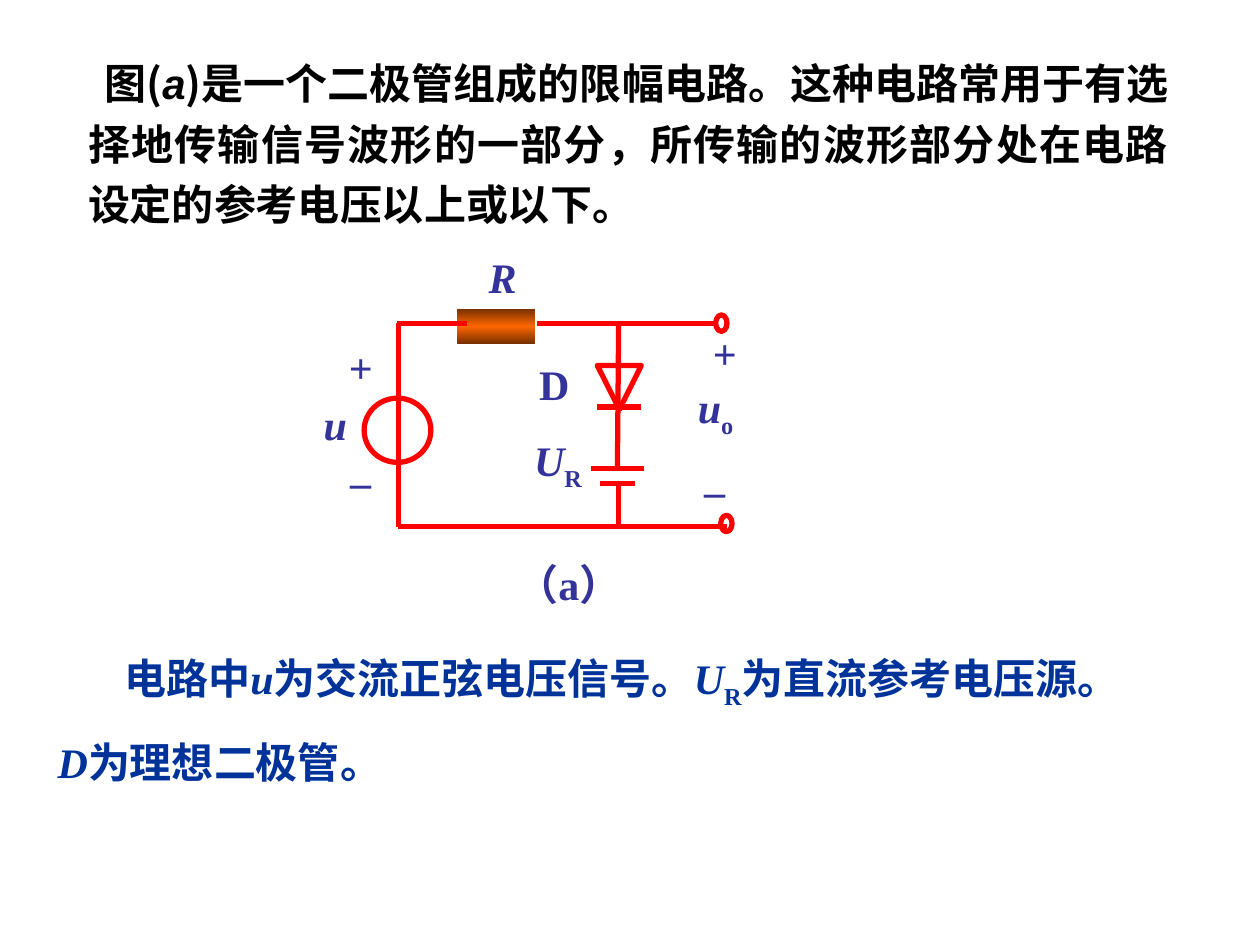
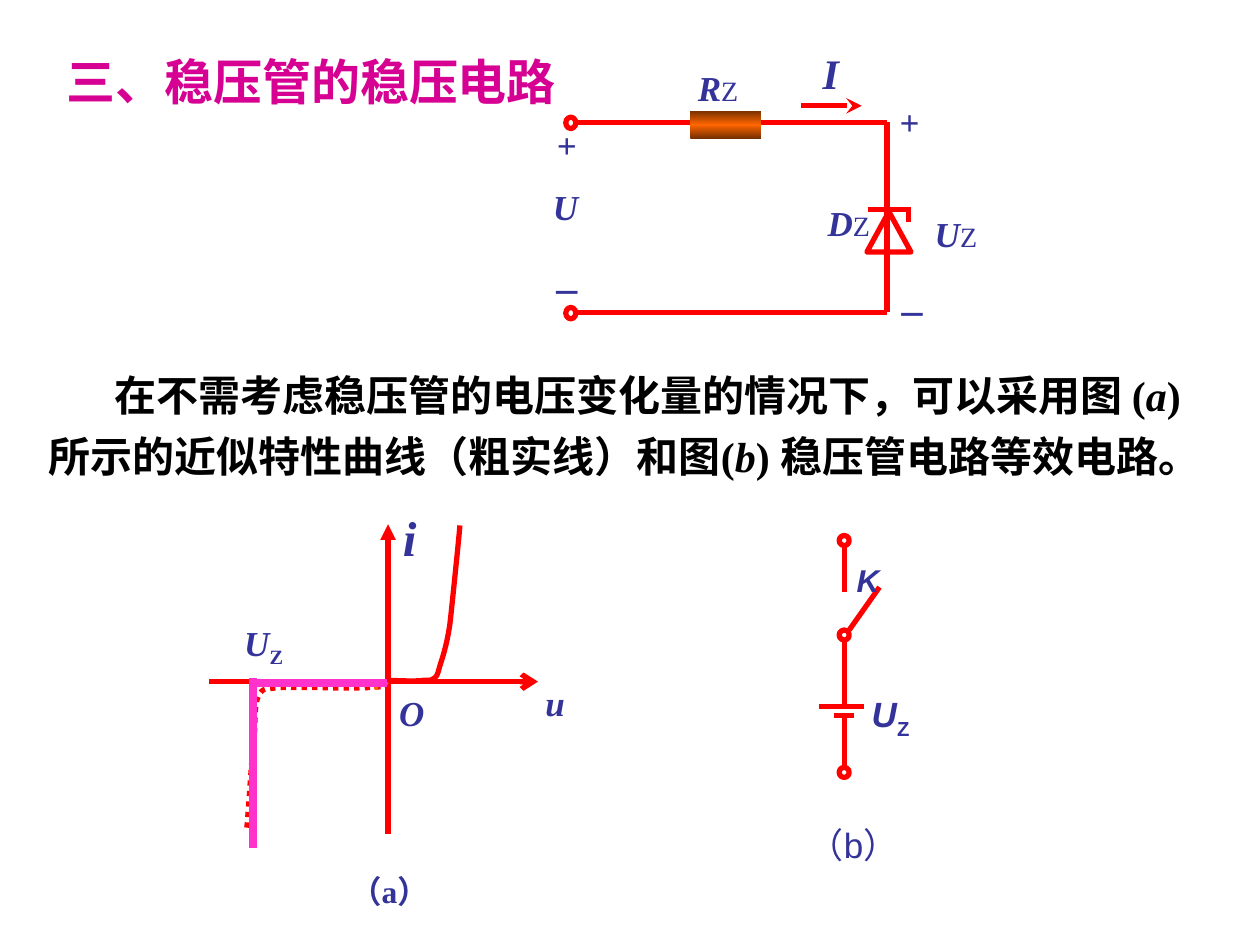
from copy import deepcopy

from lxml.etree import SubElement
from pptx import Presentation
from pptx.dml.color import RGBColor
from pptx.enum.dml import MSO_LINE
from pptx.enum.shapes import MSO_CONNECTOR, MSO_SHAPE
from pptx.enum.text import MSO_ANCHOR
from pptx.oxml.ns import qn
from pptx.util import Inches, Pt

RED = RGBColor(0xFF, 0x00, 0x00)
ORANGE = RGBColor(0xFF, 0x66, 0x00)
BROWN = RGBColor(0x75, 0x2F, 0x00)
PINK = RGBColor(0xFF, 0x33, 0xCC)
MAGENTA = RGBColor(0xD6, 0x00, 0x93)
INDIGO = RGBColor(0x33, 0x33, 0x99)
BLUE = RGBColor(0x00, 0x33, 0x99)
BLACK = RGBColor(0x00, 0x00, 0x00)
SERIF, SANS, CJK = "Times New Roman", "Arial", "Noto Sans CJK SC"


def write(slide, left, top, width, height, paragraphs, size, color, font=SERIF):
    """Each run is (text, style): b bold, i italic, - subscript, s small caps."""
    frame = slide.shapes.add_textbox(
        Inches(left), Inches(top), Inches(width), Inches(height)).text_frame
    frame.word_wrap = True
    for index, runs in enumerate(paragraphs):
        paragraph = frame.add_paragraph() if index else frame.paragraphs[0]
        for text, style in runs:
            run = paragraph.add_run()
            run.text = text
            run.font.size = Pt(size)
            run.font.bold = "b" in style
            run.font.italic = "i" in style
            run.font.color.rgb = color
            run.font.name = font
            props = run._r.get_or_add_rPr()
            SubElement(props, qn("a:ea")).set("typeface", CJK)
            if "-" in style:
                props.set("baseline", "-25000")
            if "s" in style:
                props.set("cap", "small")
    return frame


def wire(slide, x1, y1, x2, y2, color=RED, width=3):
    line = slide.shapes.add_connector(
        MSO_CONNECTOR.STRAIGHT, Inches(x1), Inches(y1), Inches(x2), Inches(y2))
    line.line.color.rgb = color
    line.line.width = Pt(width)
    SubElement(line._element.spPr, qn("a:effectLst"))
    return line


prs = Presentation()
prs.slide_width, prs.slide_height = Inches(10), Inches(7.5)
limiter = prs.slides.add_slide(prs.slide_layouts[6])
regulator = prs.slides.add_slide(prs.slide_layouts[6])

# Resistors of both circuits
for slide, left, top, width, height in [(limiter, 3.63, 2.45, 0.62, 0.28),
                                        (regulator, 5.48, 0.88, 0.56, 0.22)]:
    resistor = slide.shapes.add_shape(
        MSO_SHAPE.RECTANGLE, Inches(left), Inches(top), Inches(width), Inches(height))
    resistor.shadow.inherit = False
    resistor.line.fill.background()
    resistor.fill.gradient()
    resistor.fill.gradient_angle = 90
    stop_list = resistor._element.spPr.find(".//" + qn("a:gsLst"))
    stop_list.insert(1, deepcopy(stop_list[0]))
    for stop, position, color in zip(
            resistor.fill.gradient_stops, (0, 0.5, 1), (BROWN, ORANGE, BROWN)):
        stop.position = position
        stop.color.rgb = color

# Terminals, signal source and diodes, all outlined
OVAL, TRIANGLE = MSO_SHAPE.OVAL, MSO_SHAPE.ISOSCELES_TRIANGLE
for slide, kind, left, top, width, height, turn in [
    (limiter, TRIANGLE, 4.74, 2.9, 0.35, 0.35, 180),
    (limiter, OVAL, 5.68, 2.5, 0.09, 0.13, 0),
    (limiter, OVAL, 5.72, 4.09, 0.09, 0.13, 0),
    (limiter, OVAL, 2.89, 3.16, 0.53, 0.51, 0),
    (regulator, TRIANGLE, 6.88, 1.68, 0.35, 0.32, 0),
    (regulator, OVAL, 4.49, 0.93, 0.08, 0.09, 0),
    (regulator, OVAL, 4.49, 2.44, 0.08, 0.09, 0),
    (regulator, OVAL, 6.66, 4.25, 0.08, 0.08, 0),
    (regulator, OVAL, 6.66, 5, 0.08, 0.08, 0),
    (regulator, OVAL, 6.66, 6.09, 0.08, 0.08, 0),
]:
    symbol = slide.shapes.add_shape(
        kind, Inches(left), Inches(top), Inches(width), Inches(height))
    symbol.rotation = turn
    symbol.shadow.inherit = False
    symbol.fill.background()
    symbol.line.color.rgb = RED
    symbol.line.width = Pt(3)

# Wires of the limiter circuit
for ends in [
    (3.16, 4.18, 5.77, 4.18), (3.16, 2.56, 3.16, 4.18),  # bottom and left
    (3.15, 2.57, 3.71, 2.57), (4.26, 2.57, 5.68, 2.57),  # top
    (4.91, 2.57, 4.9, 3.72), (4.91, 3.83, 4.91, 4.16),   # diode branch
    (4.74, 3.23, 5.09, 3.23),                            # diode bar
    (4.69, 3.72, 5.11, 3.72), (4.76, 3.84, 5.04, 3.84),  # reference source
]:
    wire(limiter, *ends)

# Wires of the regulator circuit and of its equivalent
for ends in [
    (4.57, 0.97, 5.48, 0.97), (6.04, 0.97, 7.04, 0.97),  # top
    (7.04, 0.97, 7.04, 2.48), (4.57, 2.48, 7.04, 2.48),  # right and bottom
    (6.89, 1.66, 7.23, 1.66), (7.21, 1.66, 7.21, 1.76),  # Zener bar
    (6.7, 4.33, 6.7, 4.7), (6.74, 5, 6.98, 4.66),        # switch
    (6.7, 5.08, 6.7, 5.61), (6.7, 5.68, 6.7, 6.09),      # equivalent branch
    (6.5, 5.61, 6.86, 5.61), (6.62, 5.68, 6.78, 5.68),   # Zener voltage source
]:
    wire(regulator, *ends)

# Current arrow and the axes of the characteristic
for ends, tag, head in [
    ((6.36, 0.84, 6.84, 0.84), "a:tailEnd", "stealth"),
    ((3.08, 4.16, 3.08, 6.62), "a:headEnd", "triangle"),
    ((1.66, 5.41, 4.27, 5.41), "a:tailEnd", "arrow"),
]:
    arrow = wire(regulator, *ends)
    SubElement(arrow.line._get_or_add_ln(), qn(tag)).set("type", head)

# Characteristic curves, sampled from cubic Bezier control points
forward = [(3.07, 5.4), (3.12, 5.4), (3.3, 5.41), (3.36, 5.4), (3.42, 5.4),
           (3.42, 5.4), (3.45, 5.38), (3.47, 5.36), (3.47, 5.36), (3.49, 5.29),
           (3.51, 5.22), (3.54, 5.15), (3.57, 4.96), (3.59, 4.78), (3.64, 4.3),
           (3.65, 4.17)]
reverse = [(3.02, 5.45), (2.93, 5.46), (2.84, 5.46), (2.7, 5.46), (2.56, 5.46),
           (2.3, 5.45), (2.19, 5.46), (2.08, 5.47), (2.08, 5.47), (2.05, 5.53),
           (2.02, 5.59), (2.03, 5.68), (2.02, 5.83), (2, 5.98), (1.98, 6.32),
           (1.97, 6.44), (1.96, 6.57), (1.96, 6.58), (1.95, 6.6)]
origin = [(3.07, 5.41), (3.05, 5.43), (3.04, 5.44), (3.02, 5.45),
          (3, 5.46), (2.98, 5.45), (2.97, 5.45)]
STEPS = 8
for controls, color, dotted in [(forward, RED, False), (reverse, RED, True),
                                (origin, ORANGE, True)]:
    points = [controls[0]]
    for first in range(0, len(controls) - 1, 3):
        for step in range(1, STEPS + 1):
            t = step / STEPS
            weights = ((1 - t) ** 3, 3 * t * (1 - t) ** 2, 3 * t * t * (1 - t), t ** 3)
            points.append([sum(w * p[axis] for w, p in
                               zip(weights, controls[first:first + 4]))
                           for axis in (0, 1)])
    points = [(Inches(x), Inches(y)) for x, y in points]
    builder = regulator.shapes.build_freeform(*points[0])
    builder.add_line_segments(points[1:], close=False)
    curve = builder.convert_to_shape()
    curve.shadow.inherit = False
    curve.fill.background()
    curve.line.color.rgb = color
    curve.line.width = Pt(3)
    if dotted:
        curve.line.dash_style = MSO_LINE.ROUND_DOT

# Approximate characteristic
wire(regulator, 2.01, 5.38, 2.01, 6.73, PINK, 4.5)
wire(regulator, 2.01, 5.42, 3.07, 5.42, PINK, 4.5)

# Labels of circuits and axes
for slide, left, top, size, font, runs in [
    (limiter, 4.18, 2.8, 24, SERIF, [("D", "b")]),
    (limiter, 4.14, 3.4, 24, SERIF, [("U", "bi"), ("R", "b-")]),
    (limiter, 3.78, 1.95, 24, SERIF, [("R", "bi")]),
    (limiter, 5.44, 2.98, 24, SERIF, [("u", "bi"), ("o", "b-")]),
    (limiter, 2.47, 3.11, 24, SERIF, [("u", "bi")]),
    (limiter, 2.67, 2.66, 24, SERIF, [("+", "b")]),
    (limiter, 5.56, 2.55, 24, SERIF, [("+", "b")]),
    (limiter, 2.68, 3.57, 24, SERIF, [("–", "b")]),
    (limiter, 5.49, 3.64, 24, SERIF, [("–", "b")]),
    (limiter, 4, 4.38, 24, SERIF, [("（a）", "b")]),
    (regulator, 5.44, 0.48, 20, SERIF, [("R", "bi"), ("z", "s")]),
    (regulator, 7.32, 1.64, 20, SERIF, [("U", "bi"), ("z", "s")]),
    (regulator, 6.47, 1.55, 20, SERIF, [("D", "bi"), ("z", "s")]),
    (regulator, 6.43, 0.33, 24, SERIF, [("I", "bi")]),
    (regulator, 7.04, 0.75, 20, SERIF, [("+", "bi")]),
    (regulator, 7.08, 2.08, 24, SERIF, [("_", "bi")]),
    (regulator, 4.29, 1.42, 20, SERIF, [("U", "bi")]),
    (regulator, 4.32, 0.93, 20, SERIF, [("+", "bi")]),
    (regulator, 4.34, 1.91, 24, SERIF, [("_", "bi")]),
    (regulator, 2.68, 6.87, 18, SERIF, [("（a）", "b")]),
    (regulator, 4.23, 5.36, 20, SERIF, [("u", "bi")]),
    (regulator, 3.1, 3.98, 28, SERIF, [("i", "bi")]),
    (regulator, 3.07, 5.44, 20, SERIF, [("O", "bi")]),
    (regulator, 1.84, 4.88, 20, SERIF, [("U", "bi"), ("Z", "b-")]),
    (regulator, 6.7, 4.4, 18, SANS, [("K", "bi")]),
    (regulator, 6.82, 5.45, 20, SANS, [("U", "bi"), ("Z", "b-")]),
    (regulator, 6.32, 6.49, 20, SANS, [("（b）", "")]),
]:
    width = 1.27 if "（" in runs[0][0] else 0.7
    write(slide, left, top, width, round(size / 60 + 0.1, 2), [runs], size, INDIGO, font)

# Limiter: introduction
intro = write(limiter, 0.22, 0.33, 9.15, 1.75, [[
    ("图(", "b"), ("a", "bi"),
    (")是一个二极管组成的限幅电路。这种电路常用于有选择地传输信号波形的一部分，"
     "所传输的波形部分处在电路设定的参考电压以上或以下。", "b")]], 24, BLACK, CJK)
intro.paragraphs[0].runs[1].font.name = SANS
intro.paragraphs[0].line_spacing = 1.2
intro_props = intro.paragraphs[0]._p.get_or_add_pPr()
intro_props.set("marL", str(Inches(0.38)))
intro_props.set("indent", str(Inches(0.13)))
intro_props.set("algn", "just")

# Limiter: meaning of the symbols
symbols = write(limiter, 0.36, 5.13, 9.3, 1.17, [
    [("电路中", "b"), ("u", "bi"), ("为交流正弦电压信号。", "b"), ("U", "bi"),
     ("R", "b-"), ("为直流参考电压源。", "b")],
    [("D", "bi"), ("为理想二极管。", "b")]], 24, BLUE)
symbols.paragraphs[0]._p.get_or_add_pPr().set("indent", str(Inches(0.53)))
symbols.paragraphs[1].space_before = Pt(15)

# Regulator: title and explanation
heading = write(regulator, 0.43, 0.27, 7.26, 0.75,
                [[("三、稳压管的稳压电路", "b")]], 28, MAGENTA, CJK)
heading.vertical_anchor = MSO_ANCHOR.MIDDLE
explanation = write(regulator, 0.21, 2.88, 9.75, 0.99, [
    [("在不需考虑稳压管的电压变化量的情况下，可以采用图 (", "b"), ("a", "bi"), (")", "b")],
    [("所示的近似特性曲线（粗实线）和图(", "b"), ("b", "bi"),
     (") 稳压管电路等效电路。", "b")]], 24, BLACK)
for paragraph, indent in zip(explanation.paragraphs, (0.6, 0.08)):
    paragraph._p.get_or_add_pPr().set("indent", str(Inches(indent)))
explanation.paragraphs[1].space_before = Pt(6)

prs.save("out.pptx")
